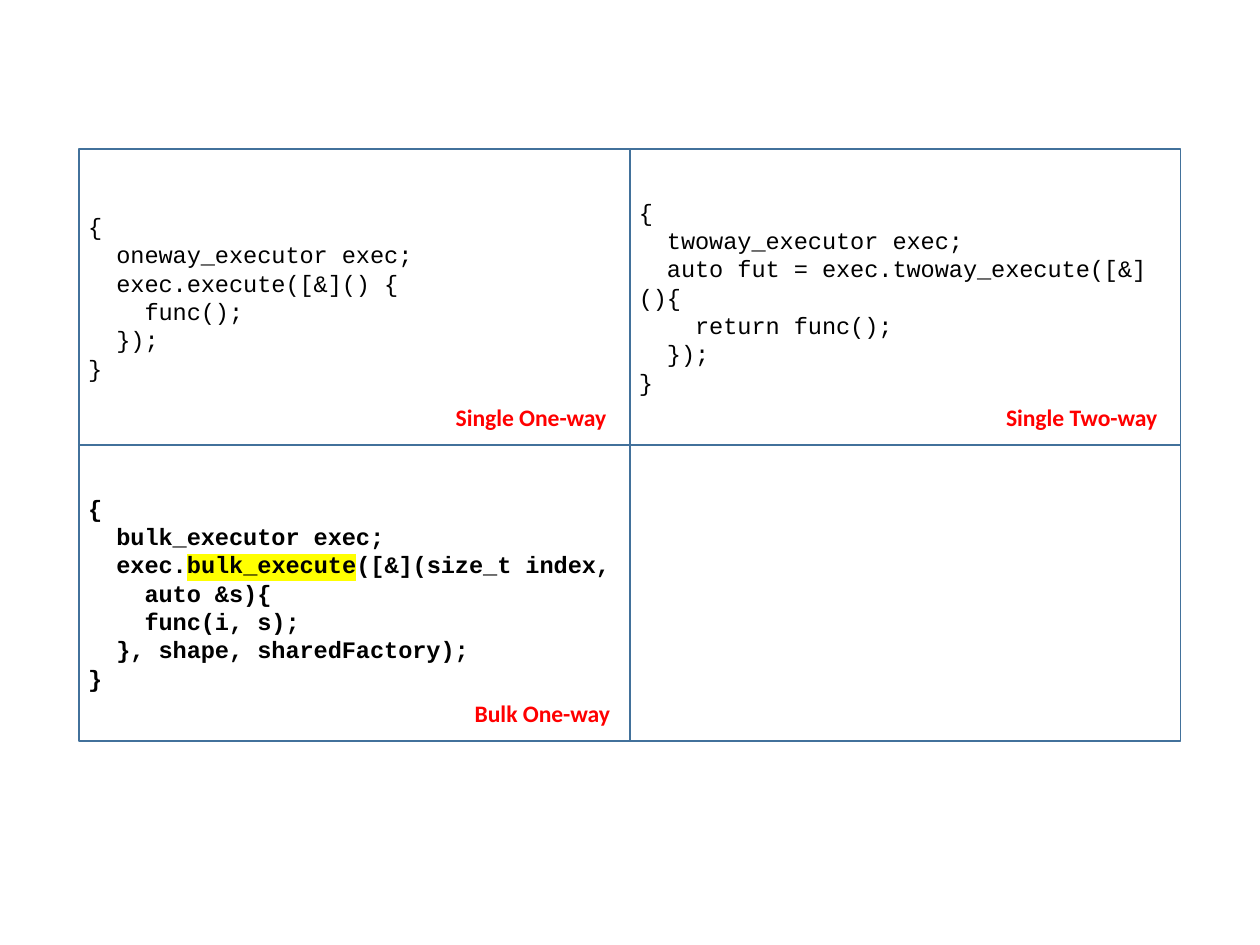
from lxml import etree
from pptx import Presentation, util as u
from pptx.dml.color import RGBColor
from pptx.enum import shapes, text
from pptx.oxml import ns

COLORS = {"panel": "FFFFFF", "border": "42719B", "code": "000000",
          "label": "FF0000", "mark": "FFFF00"}

# Grid of two by two panels, in inches
LEFT, TOP, COLUMN, ROW = 0.63, 1.18, 4.37, 2.35
LABEL_HEIGHT, LABEL_DROP = 0.36, 1.98

ONE_WAY = """{
  oneway_executor exec;
  exec.execute([&]() {
    func();
  });
}"""
TWO_WAY = """{
  twoway_executor exec;
  auto fut = exec.twoway_execute([&](){
    return func();
  });
}"""
BULK = """{
  bulk_executor exec;
  exec.bulk_execute([&](size_t index,
    auto &s){
    func(i, s);
  }, shape, sharedFactory);
}"""
MARKED = "bulk_execute"

# Column, row, code, label, label width
PANELS = [
    (1, 1, "", "", 0),
    (0, 0, ONE_WAY, "Single One-way", 1.57),
    (0, 1, BULK, "Bulk One-way", 1.39),
    (1, 0, TWO_WAY, "Single Two-way", 1.57),
]


def set_margins(frame):
    frame.word_wrap = True
    frame.margin_left = frame.margin_right = u.Inches(0.07)
    frame.margin_top = frame.margin_bottom = u.Inches(0.04)


def add_run(paragraph, words, font_name, color, bold):
    run = paragraph.add_run()
    run.text = words
    run.font.size = u.Pt(13.5)
    run.font.bold = bold
    run.font.color.rgb = RGBColor.from_string(COLORS[color])
    run.font.name = font_name
    return run


prs = Presentation()
prs.slide_width, prs.slide_height = u.Inches(10), u.Inches(7.5)
slide = prs.slides.add_slide(prs.slide_layouts[6])

for column, row, code, label, label_width in PANELS:
    x, y = LEFT + column * COLUMN, TOP + row * ROW

    # Bordered panel
    panel = slide.shapes.add_shape(
        shapes.MSO_SHAPE.RECTANGLE,
        u.Inches(x), u.Inches(y), u.Inches(COLUMN), u.Inches(ROW))
    panel.shadow.inherit = False
    panel.fill.solid()
    panel.fill.fore_color.rgb = RGBColor.from_string(COLORS["panel"])
    panel.line.color.rgb = RGBColor.from_string(COLORS["border"])
    panel.line.width = u.Pt(1)
    if not code:
        continue

    # Code listing, one paragraph per line
    listing = panel.text_frame
    set_margins(listing)
    listing.vertical_anchor = text.MSO_ANCHOR.MIDDLE
    for number, line in enumerate(code.split("\n")):
        paragraph = listing.add_paragraph() if number else listing.paragraphs[0]
        paragraph.alignment = text.PP_ALIGN.LEFT
        before, marked, after = line.partition(MARKED)
        for words in filter(None, (before, marked, after)):
            run = add_run(paragraph, words, "Courier New", "code", code == BULK)
            if words == MARKED:
                highlight = etree.Element(ns.qn("a:highlight"))
                etree.SubElement(highlight, ns.qn("a:srgbClr"), val=COLORS["mark"])
                run.font._element.find(ns.qn("a:solidFill")).addnext(highlight)

# Labels in the lower right corner of each panel
for column, row, code, label, label_width in PANELS:
    if label:
        caption = slide.shapes.add_textbox(
            u.Inches(LEFT + (column + 1) * COLUMN - label_width),
            u.Inches(TOP + row * ROW + LABEL_DROP),
            u.Inches(label_width), u.Inches(LABEL_HEIGHT)).text_frame
        set_margins(caption)
        caption.paragraphs[0].alignment = text.PP_ALIGN.CENTER
        add_run(caption.paragraphs[0], label, "Calibri", "label", True)

prs.save("out.pptx")
